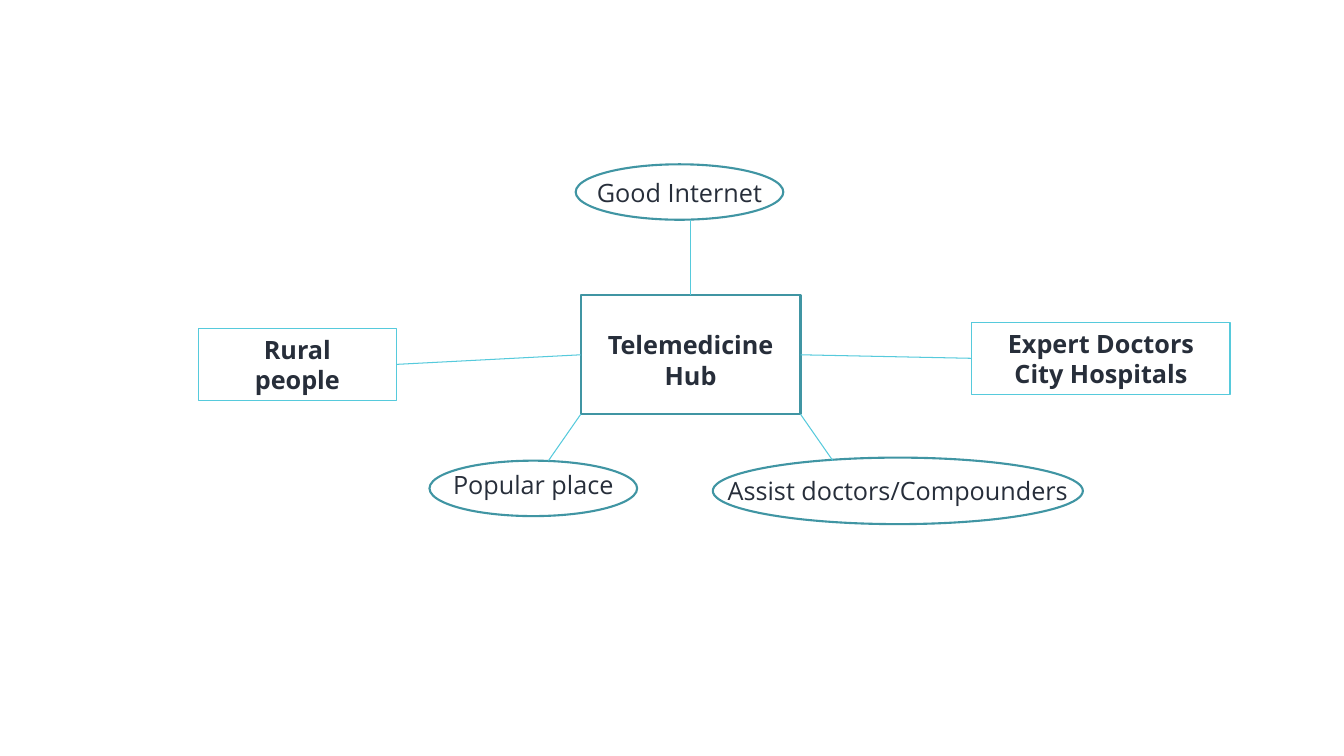
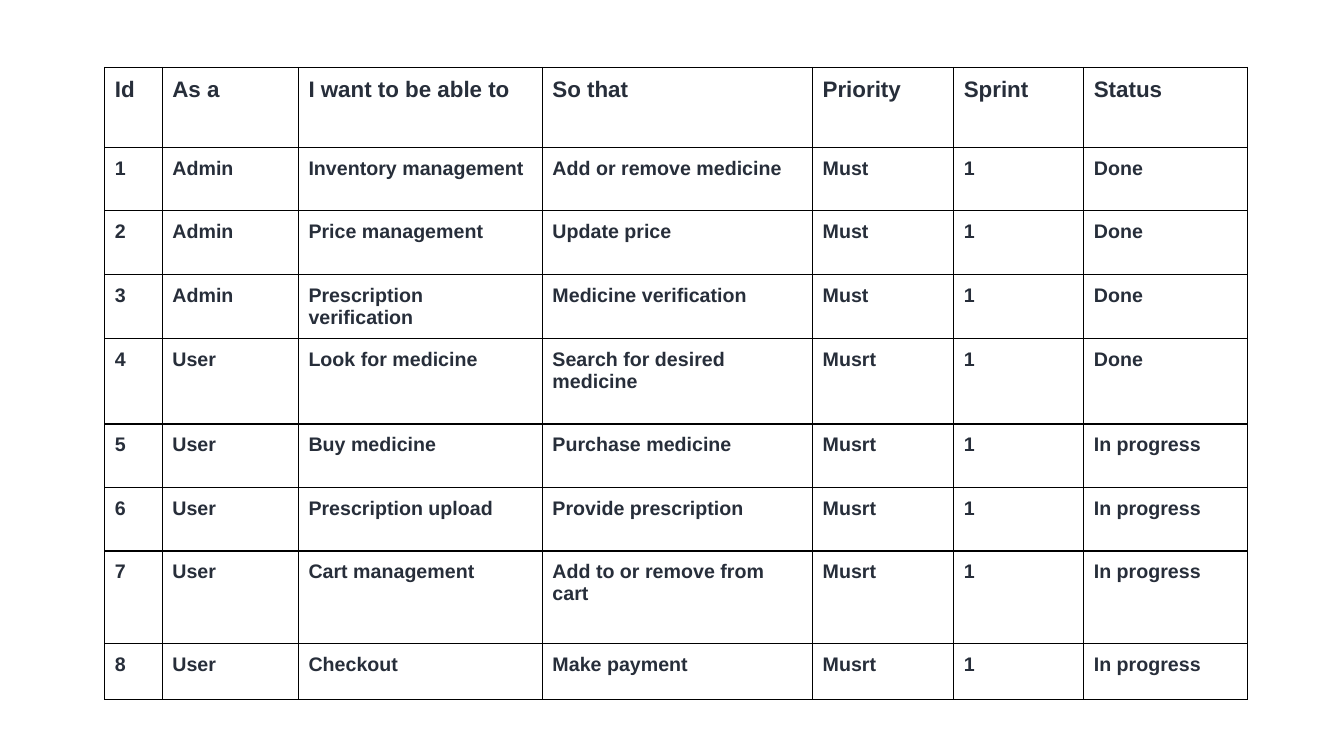
import pptx
import pptx.util
import pptx.dml.color
import pptx.enum.shapes
import pptx.enum.text
import pptx.oxml
import lxml.etree
from pptx.util import Inches

COLORS = {"text": "272E3A", "light": "56CADC", "teal": "4095A3", "border": "000000"}
DIAGRAM_FONT, TABLE_FONT = "Open Sans", "Arial"
DRAWING_NS = "http://schemas.openxmlformats.org/drawingml/2006/main"
SHAPES = pptx.enum.shapes.MSO_SHAPE


def rgb(name):
    return pptx.dml.color.RGBColor.from_string(COLORS[name])


def add_run(paragraph, text, font, size, bold):
    run = paragraph.add_run()
    run.text = text
    run.font.name = font
    run.font.size = pptx.util.Pt(size)
    run.font.bold = bold
    run.font.color.rgb = rgb("text")


def add_node(slide, kind, box, lines, color, width, bold, shift=0):
    """Outlined shape with centred text, moved down by shift inches."""
    node = slide.shapes.add_shape(kind, *map(Inches, box))
    node.shadow.inherit = False
    node.fill.background()
    node.line.color.rgb = rgb(color)
    node.line.width = pptx.util.Pt(width)
    frame = node.text_frame
    frame.word_wrap = False
    frame.vertical_anchor = pptx.enum.text.MSO_ANCHOR.MIDDLE
    frame.margin_top = Inches(max(0, 2 * shift))
    frame.margin_bottom = Inches(max(0, -2 * shift))
    for i, line in enumerate(lines):
        paragraph = frame.add_paragraph() if i else frame.paragraphs[0]
        paragraph.alignment = pptx.enum.text.PP_ALIGN.CENTER
        add_run(paragraph, line, DIAGRAM_FONT, 18, bold)
    return node


def add_link(slide, start, end):
    """Each end is a point in inches or a (shape, side) pair to join."""
    points = [end_ if isinstance(end_[0], (int, float)) else (0, 0) for end_ in (start, end)]
    link = slide.shapes.add_connector(
        pptx.enum.shapes.MSO_CONNECTOR.STRAIGHT,
        *[Inches(value) for point in points for value in point])
    for target, join in ((start, link.begin_connect), (end, link.end_connect)):
        if not isinstance(target[0], (int, float)):
            join(*target)
    link.line.color.rgb = rgb("light")
    link.line.width = pptx.util.Pt(0.75)
    lxml.etree.SubElement(link._element.spPr, f"{{{DRAWING_NS}}}effectLst")


def build_hub_diagram(slide, left, top):
    def place(x, y, w, h):
        return left + x, top + y, w, h

    # Hub and the two parties it connects
    hub_x, hub_y, hub_w, hub_h = hub_box = place(3.79, 1.3, 2.18, 1.18)
    hub = add_node(slide, SHAPES.RECTANGLE, hub_box, ["Telemedicine", "Hub"],
                   "teal", 1.5, True, 0.05)
    rural = add_node(slide, SHAPES.RECTANGLE, place(0, 1.63, 1.96, 0.71),
                     ["Rural", "people"], "light", 0.75, True)
    experts = add_node(slide, SHAPES.RECTANGLE, place(7.67, 1.57, 2.56, 0.71),
                       ["Expert Doctors", "City Hospitals"], "light", 0.75, True)

    # What the hub needs
    needs = [
        ("Good Internet", (3.74, 0, 2.06, 0.55), 0),
        ("Popular place", (2.29, 2.94, 2.06, 0.55), -0.04),
        ("Assist doctors/Compounders", (5.1, 2.91, 3.67, 0.66), 0),
    ]
    for label, box, shift in needs:
        add_node(slide, SHAPES.OVAL, place(*box), [label], "teal", 1.5, False, shift)

    # Links
    hub_bottom = hub_y + hub_h
    add_link(slide, (rural, 3), (hub, 1))
    add_link(slide, (hub, 3), (experts, 1))
    add_link(slide, (hub_x + hub_w / 2, top + 0.55), (hub, 0))
    add_link(slide, (hub_x, hub_bottom), (hub_x - 0.32, hub_bottom + 0.46))
    add_link(slide, (hub_x + hub_w, hub_bottom), (hub_x + hub_w + 0.32, hub_bottom + 0.46))


COLUMN_WIDTHS = [0.57, 1.35, 2.42, 2.68, 1.4, 1.29, 1.62]
ROW_HEIGHTS = [0.79, 0.63, 0.63, 0.63, 0.85, 0.63, 0.63, 0.92, 0.55]
HEADINGS = ["Id", "As a", "I want to be able to", "So that", "Priority", "Sprint", "Status"]
STORIES = [
    ("Admin", "Inventory management", "Add or remove medicine", "Must", "Done"),
    ("Admin", "Price management", "Update price", "Must", "Done"),
    ("Admin", "Prescription verification", "Medicine verification", "Must", "Done"),
    ("User", "Look for medicine", "Search for desired medicine", "Musrt", "Done"),
    ("User", "Buy medicine", "Purchase medicine", "Musrt", "In progress"),
    ("User", "Prescription upload", "Provide prescription", "Musrt", "In progress"),
    ("User", "Cart management", "Add to or remove from cart", "Musrt", "In progress"),
    ("User", "Checkout", "Make payment", "Musrt", "In progress"),
]


def format_cell(cell, text, size):
    cell.margin_left = cell.margin_right = cell.margin_top = cell.margin_bottom = Inches(0.1)
    add_run(cell.text_frame.paragraphs[0], text, TABLE_FONT, size, True)
    # Borders come before the fill in the cell properties
    properties = cell._tc.get_or_add_tcPr()
    for side in "LRTB":
        properties.append(pptx.oxml.parse_xml(
            f'<a:ln{side} xmlns:a="{DRAWING_NS}" w="{pptx.util.Pt(1)}"><a:solidFill>'
            f'<a:srgbClr val="{COLORS["border"]}"/></a:solidFill></a:ln{side}>'))
    cell.fill.background()


def build_backlog(slide, left, top):
    rows = [HEADINGS] + [
        (str(number), role, want, reason, priority, "1", status)
        for number, (role, want, reason, priority, status) in enumerate(STORIES, 1)]
    backlog = slide.shapes.add_table(
        len(rows), len(HEADINGS), Inches(left), Inches(top),
        Inches(sum(COLUMN_WIDTHS)), Inches(sum(ROW_HEIGHTS))).table
    backlog.first_row = backlog.horz_banding = False
    for column, width in zip(backlog.columns, COLUMN_WIDTHS):
        column.width = Inches(width)
    for r, (values, height) in enumerate(zip(rows, ROW_HEIGHTS)):
        backlog.rows[r].height = Inches(height)
        for c, text in enumerate(values):
            format_cell(backlog.cell(r, c), text, 14 if r else 16)


def main():
    deck = pptx.Presentation()
    deck.slide_width, deck.slide_height = Inches(13.33), Inches(7.5)
    blank = deck.slide_layouts[6]
    build_hub_diagram(deck.slides.add_slide(blank), 1.97, 1.63)
    build_backlog(deck.slides.add_slide(blank), 1.04, 0.67)
    deck.save("out.pptx")


if __name__ == "__main__":
    main()
